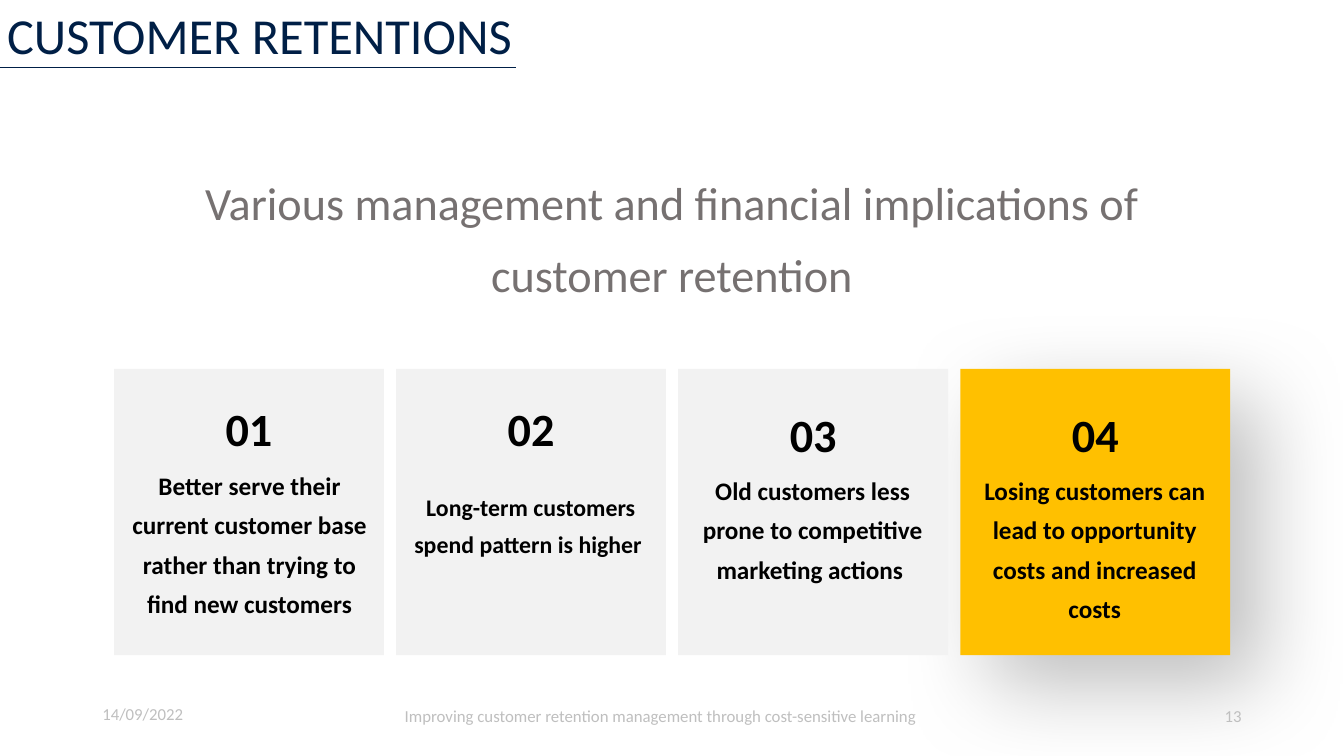
from dataclasses import dataclass
from typing import NamedTuple

from lxml.etree import SubElement as Sub
from pptx import Presentation
from pptx.dml.color import RGBColor as Color
from pptx.enum.shapes import MSO_CONNECTOR as Connector, MSO_SHAPE as Preset
from pptx.enum.text import MSO_ANCHOR as Anchor, PP_ALIGN as Align
from pptx.oxml.ns import qn
from pptx.util import Pt


@dataclass(frozen=True)
class Theme:
    """Colours, font and type sizes of the slide."""

    font: str = "Calibri"
    navy: str = "001F46"
    grey: str = "767171"
    pale: str = "BFBFBF"
    ink: str = "000000"
    panel: str = "F2F2F2"
    accent: str = "FFC000"
    title: int = 36
    large: int = 33
    body: int = 18
    tight: int = 17
    small: int = 12


class Box(NamedTuple):
    """A rectangle in points."""

    left: float
    top: float
    width: float
    height: float

    def inner(self, left, top, width, height):
        """Return a box placed relative to this one."""
        return Box(self.left + left, self.top + top, width, height)

    def lengths(self):
        """Return the four lengths for python-pptx."""
        return [Pt(value) for value in self]


class Card(NamedTuple):
    """Wording of a card, its number's top and its body's box."""

    number: str
    body: str
    size: int
    number_top: float
    body_place: tuple
    raised: bool = False


THEME = Theme()
CARDS = [
    Card("01", "Better serve their current customer base rather than trying "
         "to find new customers", THEME.body, 7, (5, 62.5, 183.5, 118)),
    Card("02", " Long-term customers spend pattern is higher",
         THEME.tight, 7, (-4.5, 79, 197.5, 58)),
    Card("03", "Old customers less prone to competitive marketing actions\u00a0",
         THEME.body, 11, (8.5, 66, 175, 90)),
    Card("04", "Losing customers can lead to opportunity costs and increased "
         "costs", THEME.body, 11, (7.5, 66, 177, 118), raised=True),
]


def add_text(page, box, text, size, color, align=Align.LEFT, bold=False, spacing=1.0):
    """Add a wrapped, top-anchored text box with one paragraph."""
    frame = page.shapes.add_textbox(*box.lengths()).text_frame
    frame.word_wrap = True
    frame.vertical_anchor = Anchor.TOP
    para = frame.paragraphs[0]
    para.text = text
    para.alignment = align
    para.line_spacing = spacing
    font = para.font
    font.name, font.size, font.bold = THEME.font, Pt(size), bold
    font.color.rgb = Color.from_string(color)


def add_effects(shape):
    """Add an empty effect list to a shape and return it."""
    return Sub(shape._element.spPr, qn("a:effectLst"))


def add_soft_shadow(shape):
    """Cast a wide, pale shadow to the lower right."""
    effects = add_effects(shape)
    shadow = Sub(effects, qn("a:outerShdw"), blurRad=str(Pt(65)), dist=str(Pt(30)),
                 dir=str(45 * 60000), algn="tl", rotWithShape="0")
    color = Sub(shadow, qn("a:srgbClr"), val=THEME.ink)
    Sub(color, qn("a:alpha"), val="25000")


def draw_title(page, box):
    """Draw the slide title and the rule below it."""
    add_text(page, box.inner(-2, -0.7, 649, 63), "CUSTOMER RETENTIONS",
             THEME.title, THEME.navy)
    level = Pt(box.top + box.height)
    rule = page.shapes.add_connector(Connector.STRAIGHT, Pt(box.left), level,
                                     Pt(box.left + box.width), level)
    rule.line.color.rgb = Color.from_string(THEME.navy)
    rule.line.width = Pt(0.5)
    add_effects(rule)


def draw_card(page, box, card):
    """Draw one panel with its number and statement."""
    panel = page.shapes.add_shape(Preset.RECTANGLE, *box.lengths())
    panel.fill.solid()
    panel.fill.fore_color.rgb = Color.from_string(
        THEME.accent if card.raised else THEME.panel)
    panel.line.fill.background()
    if card.raised:
        add_soft_shadow(panel)
    else:
        panel.shadow.inherit = False
    style = dict(color=THEME.ink, align=Align.CENTER, bold=True, spacing=1.3)
    number_box = box.inner((box.width - 70.5) / 2, card.number_top, 70.5, 55)
    add_text(page, number_box, card.number, THEME.large, **style)
    add_text(page, box.inner(*card.body_place), card.body, card.size, **style)


def draw_cards(page, box, gap=8.75):
    """Draw the row of equal cards, the raised one at the back."""
    width = (box.width - gap * (len(CARDS) - 1)) / len(CARDS)
    for index, card in sorted(enumerate(CARDS), key=lambda item: not item[1].raised):
        place = box.inner(index * (width + gap), 0, width, box.height)
        draw_card(page, place, card)


def draw_footer(page, box):
    """Draw the date, the talk's name and the page number."""
    parts = [
        ("14/09/2022", 216, Align.LEFT, 0.9),
        ("Improving customer retention management through cost-sensitive learning",
         396, Align.LEFT, 1.0),
        ("13", 216, Align.RIGHT, 1.0),
    ]
    left = 0
    for text, width, align, spacing in parts:
        add_text(page, box.inner(left, 0, width, box.height), text,
                 THEME.small, THEME.pale, align, spacing=spacing)
        left += width


def main():
    """Build the slide and save the deck."""
    deck = Presentation()
    deck.slide_width, deck.slide_height = Pt(960), Pt(540)
    page = deck.slides.add_slide(deck.slide_layouts[6])
    draw_cards(page, Box(81.5, 263.5, 797.25, 204.5))
    add_text(page, Box(81.5, 108.75, 797, 107),
             "Various management and financial implications of customer retention",
             THEME.large, THEME.grey, Align.CENTER, spacing=1.3)
    draw_title(page, Box(0, 0, 368.5, 48.25))
    draw_footer(page, Box(66, 500.5, 828, 29))
    deck.save("out.pptx")


main()
